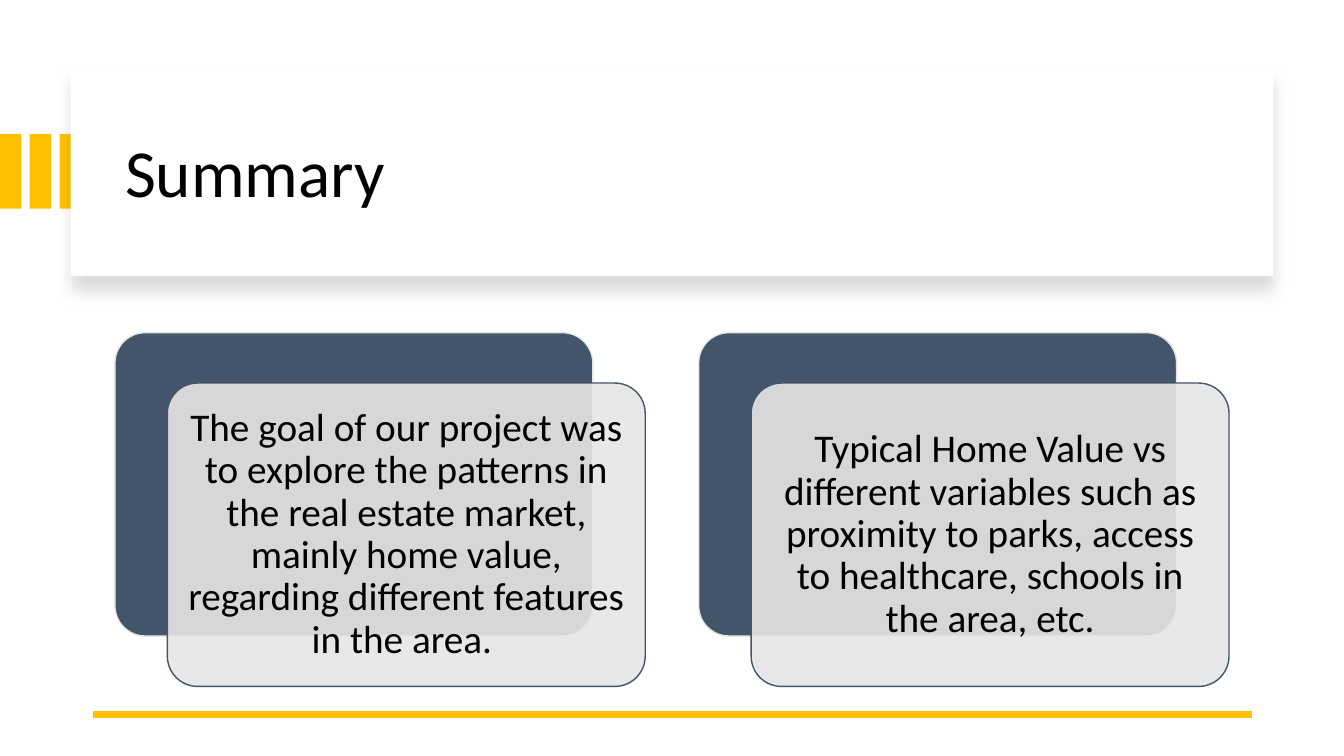
from dataclasses import dataclass

from lxml import etree
from pptx import Presentation
from pptx.dml.color import RGBColor
from pptx.enum.shapes import MSO_CONNECTOR, MSO_SHAPE
from pptx.enum.text import MSO_ANCHOR, MSO_AUTO_SIZE, PP_ALIGN
from pptx.oxml.ns import qn
from pptx.util import Inches, Pt

# Content
TITLE = "Summary"
CARDS = [
    "The goal of our project was to explore the patterns in the real estate market, "
    "mainly home value, regarding different features in the area. ",
    "Typical Home Value vs different variables such as proximity to parks, "
    "access to healthcare, schools in the area, etc.",
]


@dataclass(frozen=True)
class Theme:
    font: str = "Calibri"
    title_size: int = 48
    card_size: int = 28
    text: str = "000000"
    paper: str = "FFFFFF"
    accent: str = "FFC000"
    navy: str = "44546A"
    grey: str = "E7E6E6"


THEME = Theme()
RECTANGLE, ROUNDED = MSO_SHAPE.RECTANGLE, MSO_SHAPE.ROUNDED_RECTANGLE
MIDDLE, CENTER, LEFT = MSO_ANCHOR.MIDDLE, PP_ALIGN.CENTER, PP_ALIGN.LEFT

# Layout, in inches
SLIDE_SIZE = (13.33, 7.5)
STRIPE_COUNT, STRIPE_PITCH = 3, 0.295
STRIPE_TOP, STRIPE_SIZE = 1.33, (0.21, 0.74)
PANEL_BOX = (0.7, 0.67, 11.93, 2.07)
TITLE_BOX = (1.14, 0.89, 11.13, 1.7)
RULE_LEFT, RULE_RIGHT, RULE_TOP = 0.92, 12.42, 7.09
CARD_LEFT, CARD_TOP, CARD_PITCH = 1.14, 3.3, 5.79
CARD_SIZE = (4.74, 3.01)
CARD_SHIFT = (0.52, 0.5)
CARD_INSET = 0.12


def color(code):
    return RGBColor.from_string(code)


def add_box(page, kind, box, fill, line=None):
    shape = page.shapes.add_shape(kind, *map(Inches, box))
    shape.shadow.inherit = False
    shape.fill.solid()
    shape.fill.fore_color.rgb = color(fill)
    if line:
        shape.line.color.rgb = color(line)
        shape.line.width = Pt(1)
    else:
        shape.line.fill.background()
    if kind == ROUNDED:
        shape.adjustments[0] = 0.1
    return shape


def set_alpha(color_parent, percent):
    alpha = etree.SubElement(color_parent.find(qn("a:srgbClr")), qn("a:alpha"))
    alpha.set("val", str(percent * 1000))


def add_shadow(shape):
    effects = shape._element.spPr.find(qn("a:effectLst"))
    shadow = etree.SubElement(
        effects, qn("a:outerShdw"), blurRad=str(Pt(11)), dist=str(Pt(10)),
        dir=str(90 * 60000), algn="t", rotWithShape="0")
    etree.SubElement(shadow, qn("a:srgbClr"), val=THEME.text)
    set_alpha(shadow, 15)


def write(shape, text, size, align):
    frame = shape.text_frame
    frame.text = text
    frame.word_wrap = True
    frame.auto_size = MSO_AUTO_SIZE.NONE
    frame.vertical_anchor = MIDDLE
    para = frame.paragraphs[0]
    para.alignment = align
    para.line_spacing = 0.9
    para.font.name = THEME.font
    para.font.size = Pt(size)
    para.font.color.rgb = color(THEME.text)


def add_header(page):
    for index in range(STRIPE_COUNT):
        add_box(page, RECTANGLE,
                (index * STRIPE_PITCH, STRIPE_TOP, *STRIPE_SIZE), THEME.accent)
    add_shadow(add_box(page, RECTANGLE, PANEL_BOX, THEME.paper))

    # The title placeholder goes in front of the panel
    title = page.shapes.title
    title.left, title.top, title.width, title.height = map(Inches, TITLE_BOX)
    write(title, TITLE, THEME.title_size, LEFT)
    page.shapes._spTree.append(title._element)


def add_rule(page):
    rule = page.shapes.add_connector(
        MSO_CONNECTOR.STRAIGHT,
        *map(Inches, (RULE_RIGHT, RULE_TOP, RULE_LEFT, RULE_TOP)))
    rule.line.color.rgb = color(THEME.accent)
    rule.line.width = Pt(4.5)
    etree.SubElement(rule._element.spPr, qn("a:effectLst"))


def add_card(page, left, text):
    shift_x, shift_y = CARD_SHIFT
    add_box(page, ROUNDED, (left, CARD_TOP, *CARD_SIZE), THEME.navy, THEME.grey)
    front = add_box(page, ROUNDED, (left + shift_x, CARD_TOP + shift_y, *CARD_SIZE),
                    THEME.grey, THEME.navy)
    set_alpha(front._element.spPr.find(qn("a:solidFill")), 90)
    frame = front.text_frame
    frame.margin_left = frame.margin_right = Inches(CARD_INSET)
    frame.margin_top = frame.margin_bottom = Inches(CARD_INSET)
    write(front, text, THEME.card_size, CENTER)


def main():
    deck = Presentation()
    deck.slide_width, deck.slide_height = map(Inches, SLIDE_SIZE)
    page = deck.slides.add_slide(deck.slide_layouts.get_by_name("Title Only"))
    add_header(page)
    add_rule(page)
    for index, text in enumerate(CARDS):
        add_card(page, CARD_LEFT + index * CARD_PITCH, text)
    deck.save("out.pptx")


if __name__ == "__main__":
    main()
